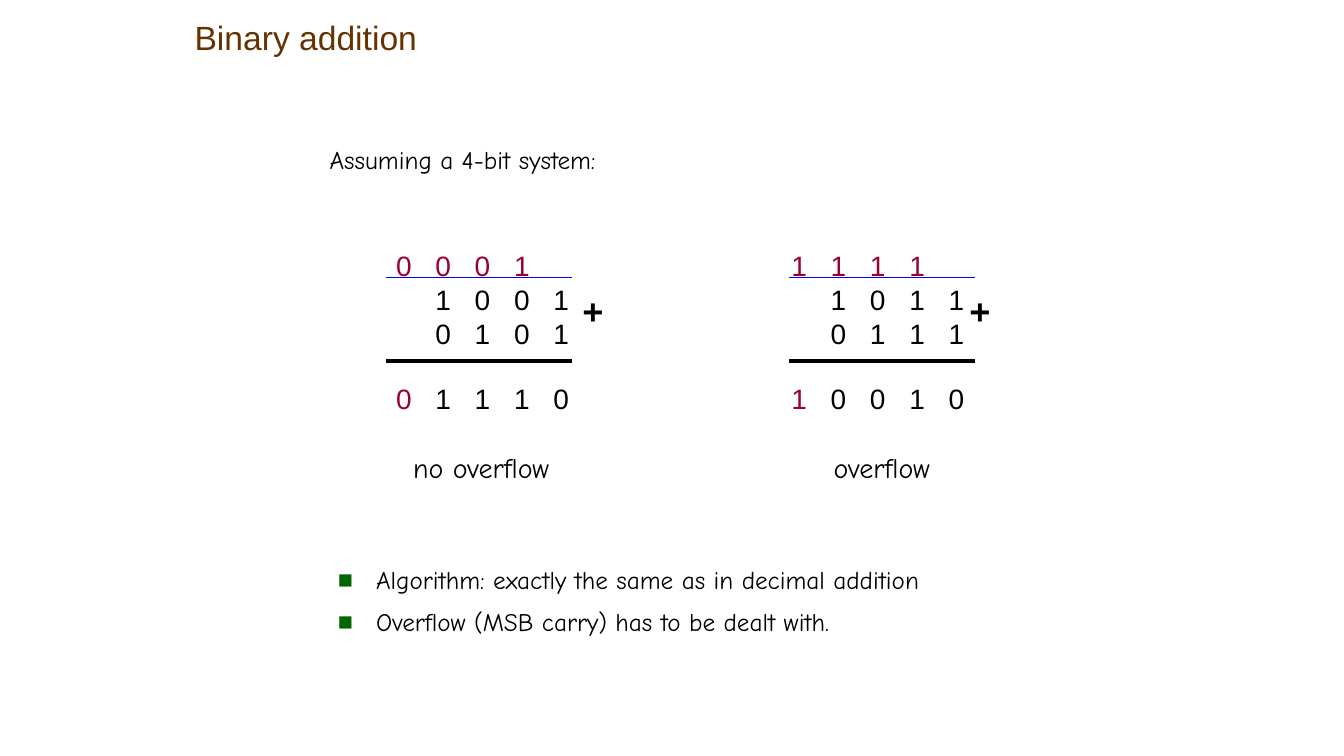
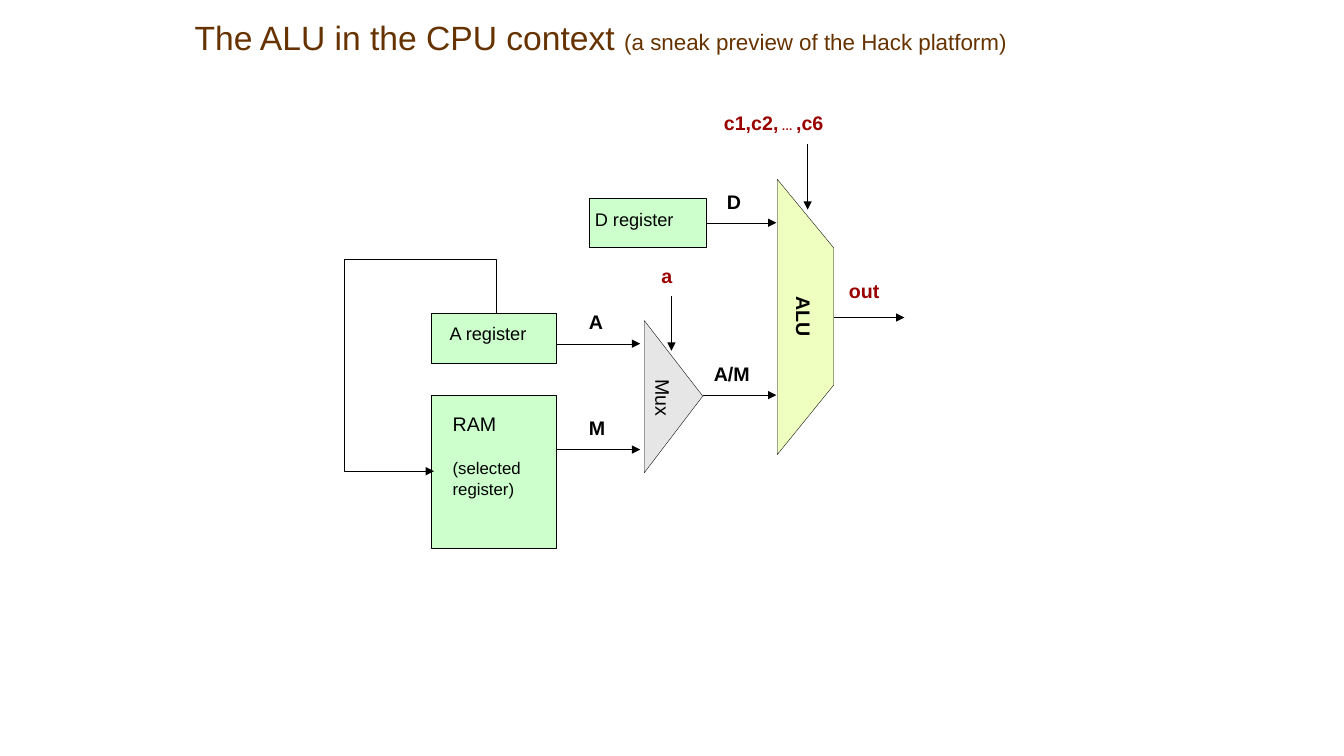
from lxml import etree
from pptx import Presentation
from pptx.dml.color import RGBColor
from pptx.enum.shapes import MSO_CONNECTOR, MSO_SHAPE
from pptx.enum.text import MSO_ANCHOR, MSO_AUTO_SIZE, PP_ALIGN
from pptx.oxml.ns import qn
from pptx.util import Pt

PX = 9144
ARIAL = "Arial"
COMIC = "Comic Neue"
MONO = "DejaVu Sans Mono"
BLACK = RGBColor(0, 0, 0)
BROWN = RGBColor(0x66, 0x33, 0x00)
CRIMSON = RGBColor(0x99, 0x00, 0x33)
RED = RGBColor(0x99, 0x00, 0x00)
BLUE = RGBColor(0x00, 0x00, 0xFF)
MINT = RGBColor(0xCC, 0xFF, 0xCC)
LIME = RGBColor(0xEE, 0xFF, 0xBF)
GRAY = RGBColor(0xE6, 0xE6, 0xE6)
BULLET_GREEN = "006600"
STRAIGHT = MSO_CONNECTOR.STRAIGHT
ELBOW = MSO_CONNECTOR.ELBOW
RECTANGLE = MSO_SHAPE.RECTANGLE
TOP, MIDDLE = MSO_ANCHOR.TOP, MSO_ANCHOR.MIDDLE
LEFT, RIGHT = PP_ALIGN.LEFT, PP_ALIGN.RIGHT
NO_AUTOFIT = MSO_AUTO_SIZE.NONE


def write(sp, text, size, font=ARIAL, color=BLACK, bold=False,
          margins=(10, 5, 10, 5), anchor=TOP, align=LEFT, wrap=True):
    tf = sp.text_frame
    tf.auto_size = NO_AUTOFIT
    tf.word_wrap = wrap
    tf.vertical_anchor = anchor
    tf.margin_left, tf.margin_top, tf.margin_right, tf.margin_bottom = [m * PX for m in margins]
    for i, line in enumerate(text.split("\n")):
        p = tf.add_paragraph() if i else tf.paragraphs[0]
        p.alignment = align
        for part in line.split("|"):
            r = p.add_run()
            r.text = part
            r.font.name = font
            r.font.size = Pt(size)
            r.font.bold = bold
            r.font.color.rgb = color
    return tf.paragraphs


def add_line(slide, x1, y1, x2, y2, width, color=BLACK, arrow=False, kind=STRAIGHT):
    line = slide.shapes.add_connector(kind, x1 * PX, y1 * PX, x2 * PX, y2 * PX)
    line.line.width = Pt(width)
    line.line.color.rgb = color
    if arrow:
        etree.SubElement(line.line._get_or_add_ln(), qn("a:tailEnd"), type="triangle")
    etree.SubElement(line._element.spPr, qn("a:effectLst"))
    return line


prs = Presentation()
prs.slide_width = 1333 * PX
prs.slide_height = 750 * PX

slides = []
for layout, title in [(1, "Binary addition"),
                      (5, "The ALU in the CPU context |(a sneak preview of the Hack platform)")]:
    s = prs.slides.add_slide(prs.slide_layouts[layout])
    sp = s.shapes.title
    sp.left, sp.top, sp.width, sp.height = 183 * PX, 8 * PX, 958 * PX, 58 * PX
    p = write(sp, title, 24, color=BROWN, anchor=MIDDLE)[0]
    for r in p.runs[1:]:
        r.font.size = Pt(16)
    slides.append(s)
addition, alu = slides

sp = addition.shapes.add_textbox(317 * PX, 142 * PX, 758 * PX, 50 * PX)
write(sp, "Assuming a 4-bit system:", 18, COMIC)[0].line_spacing = 0.9

TAB = 39
sums = [
    (383, 383, 558, 400, "no overflow", ["0001", " 1001", " 0101", "0|1110"]),
    (783, 775, 942, 817, "overflow", ["1111", " 1011", " 0111", "1|0010"]),
]
for line_x, digits_x, plus_x, label_x, label, rows in sums:
    add_line(addition, line_x, 358, line_x + 184, 358, 3)
    sp = addition.shapes.add_textbox(digits_x * PX, 242 * PX, 208 * PX, 177 * PX)
    text = "\n".join("\t".join(row.replace("|", "")).replace(" ", "") for row in rows[:3])
    carry, result = rows[3].split("|")
    ps = write(sp, text + "\n" + carry + "|\t" + "\t".join(result), 20)
    for p in ps:
        tabs = etree.SubElement(p._p.get_or_add_pPr(), qn("a:tabLst"))
        for k in range(1, 5):
            etree.SubElement(tabs, qn("a:tab"), pos=str(k * TAB * PX), algn="l")
    ps[0].runs[0].font.color.rgb = CRIMSON
    ps[3].runs[0].font.color.rgb = CRIMSON
    ps[3].space_before = Pt(23)
    add_line(addition, line_x, 275, line_x + 184, 275, 1, BLUE)
    sp = addition.shapes.add_textbox(plus_x * PX, 283 * PX, 50 * PX, 47 * PX)
    write(sp, "+", 24, MONO, bold=True, align=RIGHT)
    sp = addition.shapes.add_textbox(label_x * PX, 442 * PX, 192 * PX, 50 * PX)
    write(sp, label, 20, COMIC)

sp = addition.placeholders[1]
sp.left, sp.top, sp.width, sp.height = 325 * PX, 558 * PX, 758 * PX, 100 * PX
ps = write(sp, "Algorithm: exactly the same as in decimal addition\n"
               "Overflow (MSB carry) has to be dealt with.", 18, COMIC)
for i, p in enumerate(ps):
    pPr = p._p.get_or_add_pPr()
    pPr.set("marL", str(38 * PX))
    pPr.set("indent", str(-38 * PX))
    clr = etree.SubElement(pPr, qn("a:buClr"))
    etree.SubElement(clr, qn("a:srgbClr"), val=BULLET_GREEN)
    etree.SubElement(pPr, qn("a:buFont"), typeface=ARIAL)
    etree.SubElement(pPr, qn("a:buChar"), char="■")
    p.line_spacing = 0.9
    p.space_before = Pt(11 if i else 0)

boxes = [
    (584, 197, 116, 48, "D register", 13, (6, 10, 0, 0)),
    (428, 311, 124, 49, "A register", 13, (18, 9, 0, 0)),
    (428, 392, 124, 152, "RAM\n(selected register)", 14, (21, 17, 16, 0)),
]
registers = []
for x, y, w, h, text, size, margins in boxes:
    sp = alu.shapes.add_shape(RECTANGLE, x * PX, y * PX, w * PX, h * PX)
    sp.shadow.inherit = False
    sp.fill.solid()
    sp.fill.fore_color.rgb = MINT
    sp.line.color.rgb = BLACK
    sp.line.width = Pt(0.25)
    ps = write(sp, text, size, margins=margins)
    for p in ps[1:]:
        p.space_before = Pt(16)
        p.runs[0].font.size = Pt(12)
    registers.append(sp)

outlines = [
    (LIME, [(827, 382), (827, 246), (771, 178), (771, 451)]),
    (GRAY, [(639, 469), (697, 393), (639, 318)]),
]
for fill, points in outlines:
    builder = alu.shapes.build_freeform(*points[0], scale=PX)
    builder.add_line_segments(points[1:], close=True)
    sp = builder.convert_to_shape()
    sp.shadow.inherit = False
    sp.fill.solid()
    sp.fill.fore_color.rgb = fill
    sp.line.color.rgb = BLACK
    sp.line.width = Pt(0.25)

labels = [
    (777, 302, 40, "ALU", BLACK, True, 90),
    (639, 383, 37, "Mux", BLACK, False, 90),
    (721, 188, 14, "D", BLACK, True, 0),
    (842, 277, 30, "out", RED, True, 0),
    (708, 359, 36, "A/M", BLACK, True, 0),
    (656, 262, 11, "a", RED, True, 0),
    (584, 307, 14, "A", BLACK, True, 0),
    (584, 413, 16, "M", BLACK, True, 0),
    (718, 110, 99, "c1,c2,| … |,c6", RED, True, 0),
]
for x, y, w, text, color, bold, angle in labels:
    sp = alu.shapes.add_textbox(x * PX, y * PX, w * PX, 24 * PX)
    sp.rotation = angle
    p = write(sp, text, 14, color=color, bold=bold, margins=(0, 0, 0, 0), wrap=False)[0]
    for r in p.runs[1:2]:
        r.font.size = Pt(8)

arrows = [
    (552, 341, 635, 341),
    (552, 446, 635, 446),
    (697, 392, 770, 392),
    (827, 315, 897, 315),
    (801, 143, 801, 208),
    (666, 294, 666, 348),
]
for x1, y1, x2, y2 in arrows:
    add_line(alu, x1, y1, x2, y2, 0.25, arrow=True)
line = add_line(alu, 700, 221, 770, 221, 0.25, arrow=True)
line.begin_connect(registers[0], 3)

line = add_line(alu, 383, 358, 540, 420, 0.75, arrow=True, kind=ELBOW)
xfrm = line._element.spPr.find(qn("a:xfrm"))
for name, value in [("rot", "16200000"), ("flipH", "1"), ("flipV", "1")]:
    xfrm.set(name, value)
geom = line._element.spPr.find(qn("a:prstGeom"))
geom.set("prst", "bentConnector4")
for name, value in [("adj1", -33600), ("adj2", 243000)]:
    etree.SubElement(geom.find(qn("a:avLst")), qn("a:gd"), name=name, fmla=f"val {value}")

prs.save("out.pptx")
